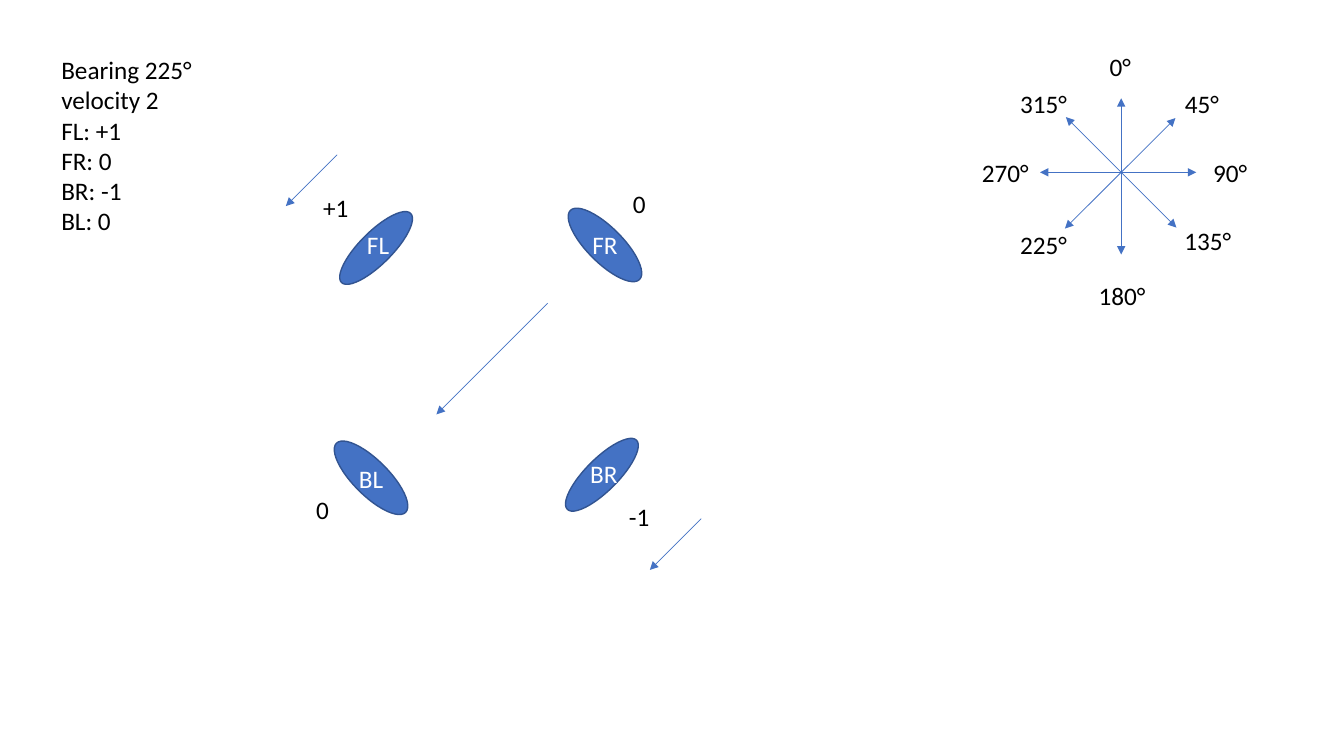
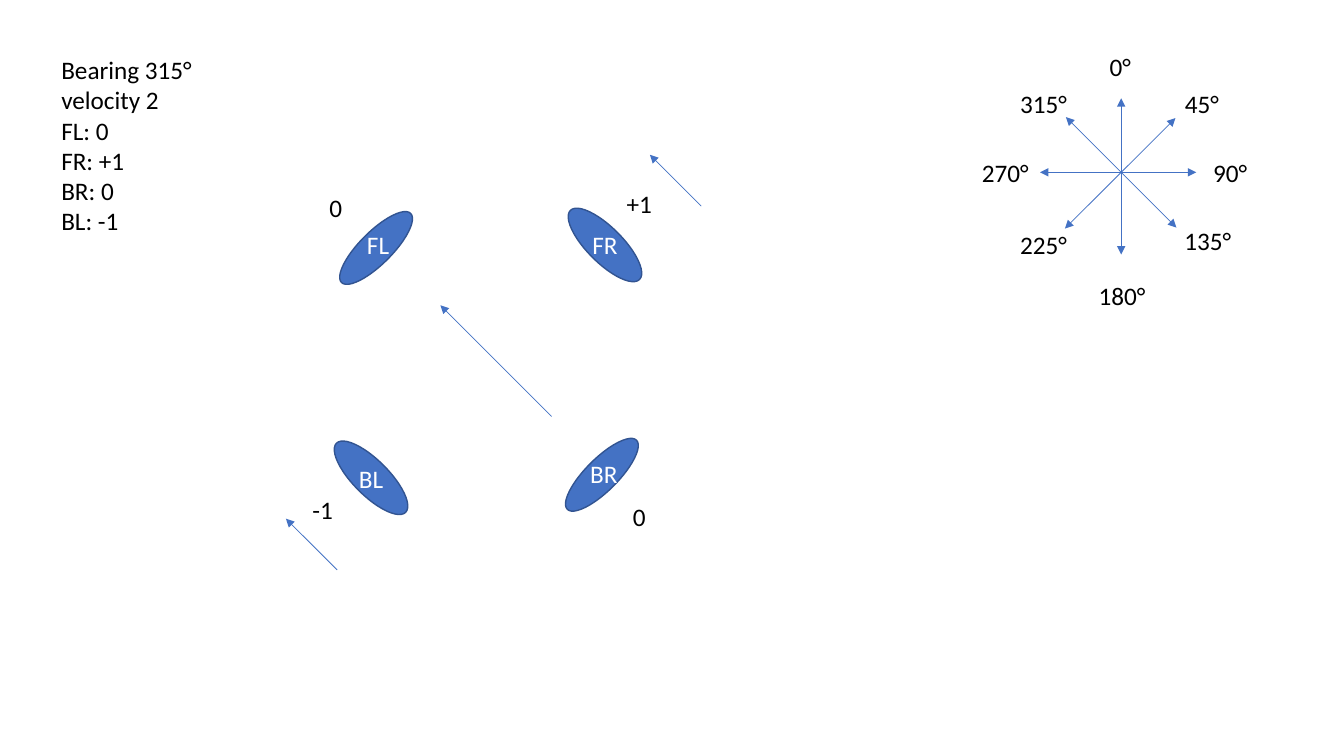
from math import cos, radians, sin

from pptx import Presentation
from pptx.dml.color import RGBColor
from pptx.enum.shapes import MSO_CONNECTOR, MSO_SHAPE
from pptx.enum.text import MSO_AUTO_SIZE, PP_ALIGN
from pptx.oxml.ns import qn
from pptx.util import Inches, Pt
from lxml import etree

STRAIGHT = MSO_CONNECTOR.STRAIGHT
OVAL = MSO_SHAPE.OVAL
GROW = MSO_AUTO_SIZE.SHAPE_TO_FIT_TEXT
LEFT, CENTER = PP_ALIGN.LEFT, PP_ALIGN.CENTER

COLORS = {"ink": "000000", "blue": "4472C4", "rim": "325491", "white": "FFFFFF"}
FONT, TEXT_SIZE, LINE_HEIGHT = "Calibri", 18, 0.4

# Wheel: centre, width, tilt, name centre, value centre, arrow centre
WHEELS = {
    "FL": ((3.73, 2.46), 0.32, -45, (3.75, 2.43), (3.33, 2.06), (3.09, 1.79)),
    "FR": ((6.00, 2.43), 0.35, 45, (6.00, 2.43), (6.34, 2.02), (6.70, 1.79)),
    "BR": ((5.97, 4.71), 0.32, -45, (5.99, 4.70), (6.34, 5.12), (6.70, 5.40)),
    "BL": ((3.68, 4.74), 0.35, 45, (3.68, 4.75), (3.20, 5.06), (3.09, 5.40)),
}
WHEEL_LENGTH = 0.97
WHEEL_ARROW, BODY_ARROW, COMPASS_ARROW = 0.72, 1.56, 1.55

COMPASS_AXES = {0: (11.12, 1.75), 270: (11.09, 1.71),
                45: (11.11, 1.72), 315: (11.12, 1.71)}
COMPASS_LABELS = {0: (11.11, 0.66), 45: (11.92, 1.03), 90: (12.20, 1.71),
                  135: (11.98, 2.39), 180: (11.13, 2.93), 225: (10.35, 2.43),
                  270: (9.97, 1.71), 315: (10.35, 1.03)}

# Bearing, centre of the body arrow, speed of each wheel
MOVES = [
    (225, (4.88, 3.56), {"FL": "+1", "FR": "0", "BR": "-1", "BL": "0"}),
    (315, (4.92, 3.58), {"FL": "0", "FR": "+1", "BR": "0", "BL": "-1"}),
]


def color(name):
    return RGBColor.from_string(COLORS[name])


class Deck:
    def __init__(self):
        self.presentation = Presentation()
        self.presentation.slide_width = Inches(13.33)
        self.presentation.slide_height = Inches(7.5)
        self.slide = None

    def new_slide(self):
        blank = self.presentation.slide_layouts[6]
        self.slide = self.presentation.slides.add_slide(blank)

    def text(self, lines, left, top, width, align=LEFT, ink="ink", wrap=True,
             shapes=None):
        box = (shapes or self.slide.shapes).add_textbox(
            Inches(left), Inches(top), Inches(width),
            Inches(0.1 + 0.3 * len(lines)))
        frame = box.text_frame
        frame.word_wrap = wrap
        frame.auto_size = GROW
        frame.text = "\n".join(lines)
        for paragraph in frame.paragraphs:
            paragraph.alignment = align
            paragraph.font.name = FONT
            paragraph.font.size = Pt(TEXT_SIZE)
            paragraph.font.color.rgb = color(ink)

    def label(self, words, center, width, **style):
        """Put one centred line of text around a point."""
        x, y = center
        self.text([words], x - width / 2, y - LINE_HEIGHT / 2, width,
                  CENTER, **style)

    def arrow(self, center, bearing, length, double=False):
        """Draw an arrow around its centre; bearing 0 points up, clockwise."""
        x, y = center
        dx = sin(radians(bearing)) * length / 2
        dy = -cos(radians(bearing)) * length / 2
        line = self.slide.shapes.add_connector(
            STRAIGHT, Inches(x - dx), Inches(y - dy),
            Inches(x + dx), Inches(y + dy))
        line.line.color.rgb = color("blue")
        line.line.width = Pt(0.5)
        properties = line.element.spPr
        outline = properties.find(qn("a:ln"))
        for end in ("a:headEnd", "a:tailEnd") if double else ("a:tailEnd",):
            etree.SubElement(outline, qn(end), type="triangle")
        etree.SubElement(properties, qn("a:effectLst"))

    def ellipse(self, center, width, height, tilt, shapes):
        x, y = center
        oval = shapes.add_shape(OVAL, Inches(x - width / 2),
                                Inches(y - height / 2),
                                Inches(width), Inches(height))
        oval.rotation = tilt
        oval.shadow.inherit = False
        oval.fill.solid()
        oval.fill.fore_color.rgb = color("blue")
        oval.line.color.rgb = color("rim")
        oval.line.width = Pt(1)

    def compass(self):
        for bearing, center in COMPASS_AXES.items():
            self.arrow(center, bearing, COMPASS_ARROW, double=True)
        for bearing, center in COMPASS_LABELS.items():
            degrees = f"{bearing}°"
            self.label(degrees, center, 0.17 + 0.125 * len(degrees), wrap=False)

    def wheels(self, bearing, speeds):
        """Draw the four wheels, with an arrow at each one that turns."""
        chassis = self.slide.shapes.add_group_shape().shapes
        for name, (center, width, tilt, name_at, speed_at, arrow_at) in WHEELS.items():
            self.ellipse(center, WHEEL_LENGTH, width, tilt, chassis)
            self.label(name, name_at, 0.56, ink="white", shapes=chassis)
            self.label(speeds[name], speed_at, 0.46, wrap=False)
            if speeds[name] != "0":
                self.arrow(arrow_at, bearing, WHEEL_ARROW)


def main():
    deck = Deck()
    for bearing, body_center, speeds in MOVES:
        deck.new_slide()
        deck.text([f"Bearing {bearing}°", "velocity 2"]
                  + [f"{wheel}: {speed}" for wheel, speed in speeds.items()],
                  0.51, 0.49, 2.46)
        deck.compass()
        deck.wheels(bearing, speeds)
        deck.arrow(body_center, bearing, BODY_ARROW)
    deck.presentation.save("out.pptx")


if __name__ == "__main__":
    main()
